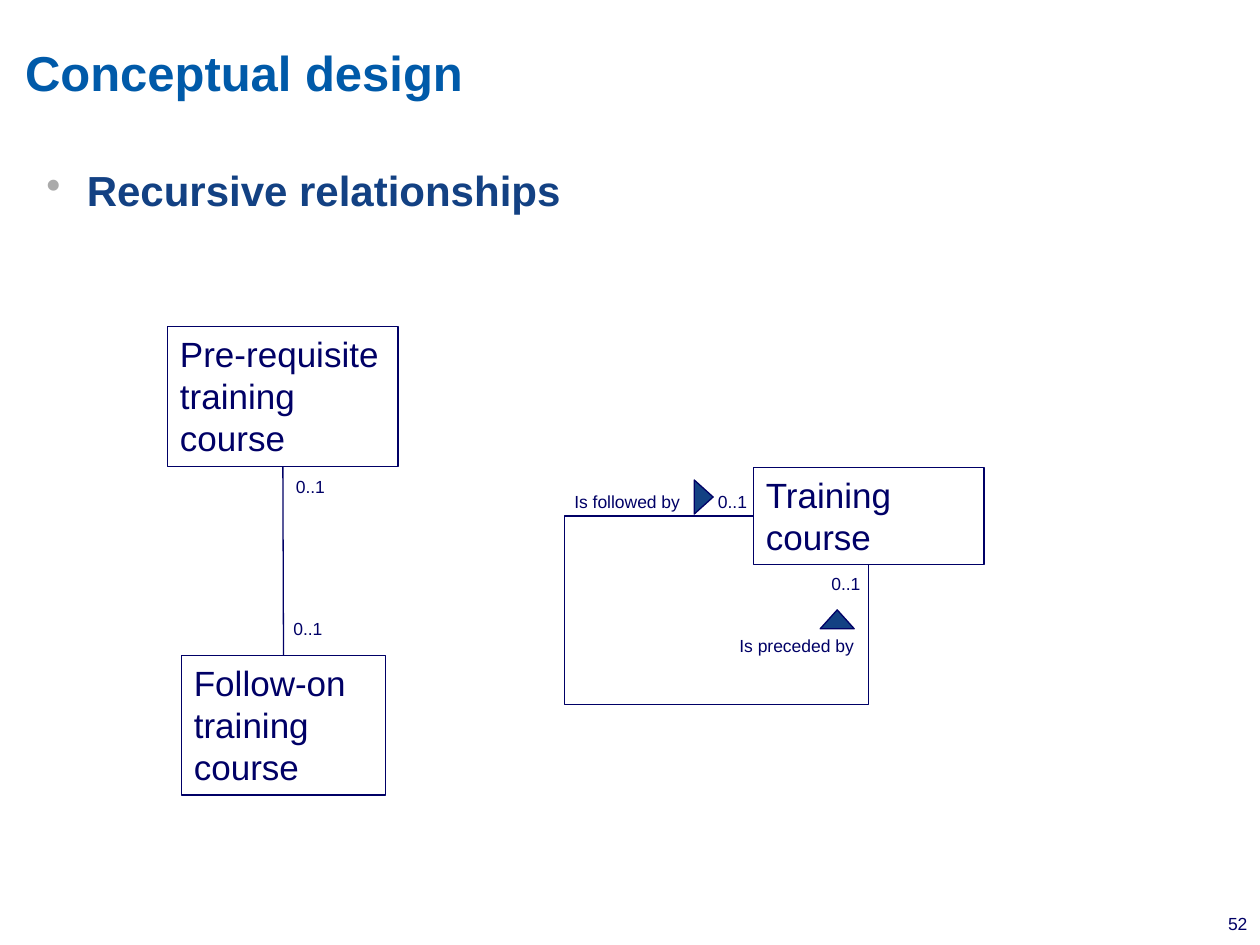
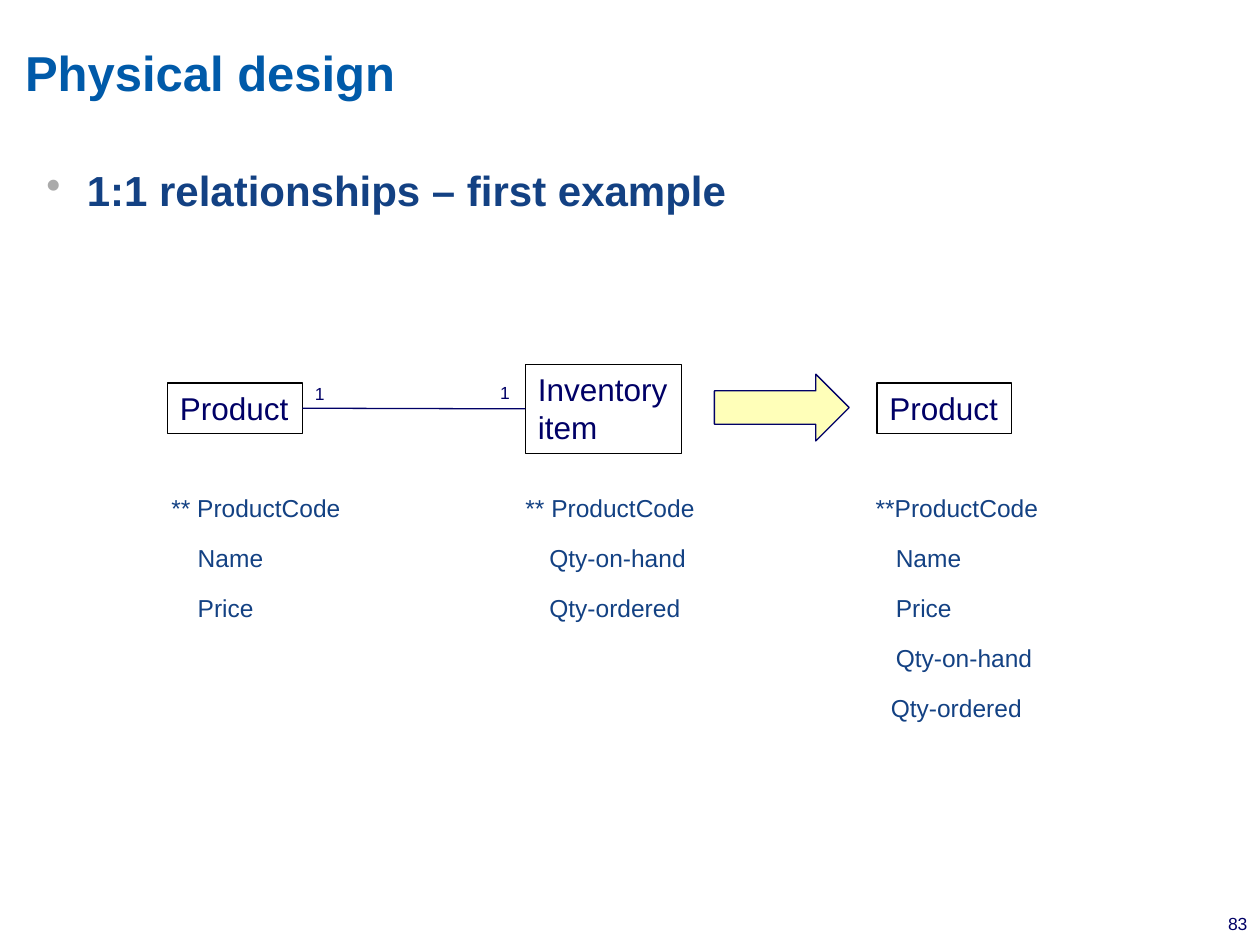
from pptx import Presentation
from pptx.dml.color import RGBColor
from pptx.enum.shapes import MSO_CONNECTOR, MSO_SHAPE
from pptx.enum.text import MSO_ANCHOR, PP_ALIGN
from pptx.oxml.ns import qn
from pptx.util import Inches, Pt
from lxml.etree import SubElement

NAVY = RGBColor(0x00, 0x00, 0x66)
TITLE_BLUE = RGBColor(0x00, 0x5A, 0xA9)
BODY_BLUE = RGBColor(0x13, 0x41, 0x83)
BULLET_GRAY = RGBColor(0xAA, 0xAA, 0xAA)
ARROW_YELLOW = RGBColor(0xFF, 0xFF, 0xB9)
BLACK = RGBColor(0x00, 0x00, 0x00)

FONT = "Arial"
LINE_WIDTH = Pt(0.75)
LINE_FACTOR = 1.2
MARGINS = (0.1, 0.05, 0.1, 0.05)

TITLE = {"size": Pt(28), "bold": True, "color": TITLE_BLUE}
HEADING = {"size": Pt(24), "bold": True, "color": BODY_BLUE}
ATTRIBUTE = {"size": Pt(14), "color": BODY_BLUE}
ENTITY = {"size": Pt(20), "color": NAVY}
SMALL_ENTITY = {"size": Pt(18), "color": NAVY}
LABEL = {"size": Pt(10), "color": NAVY}


# Text and shape helpers
def write_text(shape, lines, style, line_height=None, margins=MARGINS, **frame_format):
    """Fill a shape's text frame, one paragraph per line."""
    frame = shape.text_frame
    sides = ("margin_left", "margin_top", "margin_right", "margin_bottom")
    settings = {"word_wrap": True, "vertical_anchor": MSO_ANCHOR.TOP}
    settings.update(zip(sides, map(Inches, margins)))
    settings.update(frame_format)
    for name, value in settings.items():
        setattr(frame, name, value)
    frame.text = "\n".join(lines)
    for paragraph in frame.paragraphs:
        paragraph.alignment = PP_ALIGN.LEFT
        paragraph.line_spacing = line_height or Pt(style["size"].pt * LINE_FACTOR)
        font = paragraph.runs[0].font
        font.name = FONT
        for name, value in style.items():
            if name == "color":
                font.color.rgb = value
            else:
                setattr(font, name, value)
    return frame


def add_text(slide, box, lines, style, **options):
    text_box = slide.shapes.add_textbox(*map(Inches, box))
    return write_text(text_box, lines, style, **options)


def set_indent(paragraph, left, first=0.0):
    properties = paragraph._p.get_or_add_pPr()
    properties.set("marL", str(Inches(left)))
    properties.set("indent", str(Inches(first)))
    return properties


def set_outline(shape, color=NAVY):
    shape.line.color.rgb = color
    shape.line.width = LINE_WIDTH


def add_outlined(slide, kind, box, fill=None, line=NAVY):
    shape = slide.shapes.add_shape(kind, *map(Inches, box))
    shape.shadow.inherit = False
    if fill is None:
        shape.fill.background()
    else:
        shape.fill.solid()
        shape.fill.fore_color.rgb = fill
    set_outline(shape, line)
    return shape


def add_entity(slide, box, lines, style=ENTITY, line=NAVY, wrap=True):
    entity = add_outlined(slide, MSO_SHAPE.RECTANGLE, box, line=line)
    write_text(entity, lines, style, word_wrap=wrap)
    return entity


def join(slide, start, start_side, end, end_side):
    connector = slide.shapes.add_connector(MSO_CONNECTOR.STRAIGHT, 0, 0, 0, 0)
    connector.begin_connect(start, start_side)
    connector.end_connect(end, end_side)
    set_outline(connector)
    SubElement(connector._element.spPr, qn("a:effectLst"))


def add_labels(slide, left, top, labels):
    for text, x, y, width in labels:
        add_text(slide, (left + x, top + y, width, 0.27), [text], LABEL)


# Shared frame: title, bulleted heading, page number
def add_base_slide(presentation, title, heading, number):
    slide = presentation.slides.add_slide(presentation.slide_layouts[6])
    add_text(slide, (0, 0, 10, 1.08), [title], TITLE,
             margins=(0.2, 0.2, 1.97, 0.14), vertical_anchor=MSO_ANCHOR.MIDDLE)

    frame = add_text(slide, (0.27, 1.26, 9.52, 0.6), [heading], HEADING)
    properties = set_indent(frame.paragraphs[0], 0.32, -0.32)
    bullet_color = SubElement(properties, qn("a:buClr"))
    SubElement(bullet_color, qn("a:srgbClr"), val=str(BULLET_GRAY))
    SubElement(properties, qn("a:buChar"), char="•")

    frame = add_text(slide, (6.4, 7.2, 3.5, 0.17), [number], LABEL,
                     margins=(0, 0.05, 0, 0.05))
    frame.paragraphs[0].alignment = PP_ALIGN.RIGHT
    return slide


# Two course entities joined one above the other
def add_course_pair(slide, left, top):
    prerequisite = add_entity(slide, (left, top, 1.83, 1.11),
                              ["Pre-requisite training course"])
    follow_on = add_entity(slide, (left + 0.11, top + 2.61, 1.62, 1.11),
                           ["Follow-on training course"])
    join(slide, prerequisite, 2, follow_on, 0)
    add_labels(slide, left, top, [("0..1", 0.92, 1.14, 0.67),
                                  ("0..1", 0.9, 2.27, 0.67)])


# One course entity with a line looping back to itself
def add_recursive_course(slide, left, top):
    width, height = 1.83, 0.77
    add_entity(slide, (left, top, width, height), ["Training course"])

    middle, side = left + width / 2, top + height / 2
    loop_left, loop_bottom = left - 1.5, top + 1.88
    builder = slide.shapes.build_freeform(Inches(middle), Inches(top + height))
    corners = [(middle, loop_bottom), (loop_left, loop_bottom),
               (loop_left, side), (left, side)]
    builder.add_line_segments([tuple(map(Inches, corner)) for corner in corners],
                              close=False)
    loop = builder.convert_to_shape()
    loop.shadow.inherit = False
    loop.fill.background()
    set_outline(loop)

    add_labels(slide, left, top, [("0..1", 0.52, 0.79, 0.67),
                                  ("0..1", -0.38, 0.14, 0.67),
                                  ("Is followed by", -1.52, 0.14, 1.33),
                                  ("Is preceded by", -0.21, 1.28, 1.33)])
    for x, y, rotation in [(0.53, 1.13, 0), (-0.53, 0.16, 90)]:
        direction = add_outlined(slide, MSO_SHAPE.ISOSCELES_TRIANGLE,
                                 (left + x, top + y, 0.27, 0.15), BODY_BLUE)
        direction.rotation = rotation


# Entities of the 1:1 relationship and the table they become
def add_one_to_one(slide, left, top):
    style = {"style": SMALL_ENTITY, "line": BLACK, "wrap": False}
    product_top = top + 0.15
    product = add_entity(slide, (left, product_top, 1.07, 0.4), ["Product"], **style)
    inventory = add_entity(slide, (left + 2.84, top, 1.24, 0.71),
                           ["Inventory", "item"], **style)
    add_entity(slide, (left + 5.63, product_top, 1.07, 0.4), ["Product"], **style)
    join(slide, product, 3, inventory, 1)
    add_outlined(slide, MSO_SHAPE.RIGHT_ARROW,
                 (left + 4.34, top + 0.08, 1.07, 0.53), ARROW_YELLOW)
    add_labels(slide, left, top, [("1", 1.07, 0.1, 0.28), ("1", 2.54, 0.09, 0.28)])


# Attribute list: key first, then (name, indent) pairs
def add_attributes(slide, left, top, key, attributes):
    rows = [(key, 0)] + attributes
    row_height = Pt(28.56)
    box = (left, top, 1.9, row_height.inches * len(rows))
    frame = add_text(slide, box, [name for name, _ in rows], ATTRIBUTE,
                     line_height=row_height, margins=(0, 0, 0, 0))
    for paragraph, (_, indent) in zip(frame.paragraphs, rows):
        set_indent(paragraph, indent)


def build_conceptual_slide(presentation):
    slide = add_base_slide(presentation, "Conceptual design",
                           "Recursive relationships", "52")
    add_course_pair(slide, 1.33, 2.59)
    add_recursive_course(slide, 5.98, 3.71)


def build_physical_slide(presentation):
    slide = add_base_slide(presentation, "Physical design",
                           "1:1 relationships – first example", "83")
    add_one_to_one(slide, 1.33, 2.89)
    columns = [
        (1.36, "** ProductCode", [("Name", 0.21), ("Price", 0.21)]),
        (4.17, "** ProductCode", [("Qty-on-hand", 0.19), ("Qty-ordered", 0.19)]),
        (6.95, "**ProductCode", [("Name", 0.16), ("Price", 0.16),
                                 ("Qty-on-hand", 0.16), ("Qty-ordered", 0.12)]),
    ]
    for left, key, attributes in columns:
        add_attributes(slide, left, 3.75, key, attributes)


def main():
    presentation = Presentation()
    presentation.slide_width = Inches(10)
    presentation.slide_height = Inches(7.5)
    build_conceptual_slide(presentation)
    build_physical_slide(presentation)
    presentation.save("out.pptx")


if __name__ == "__main__":
    main()
